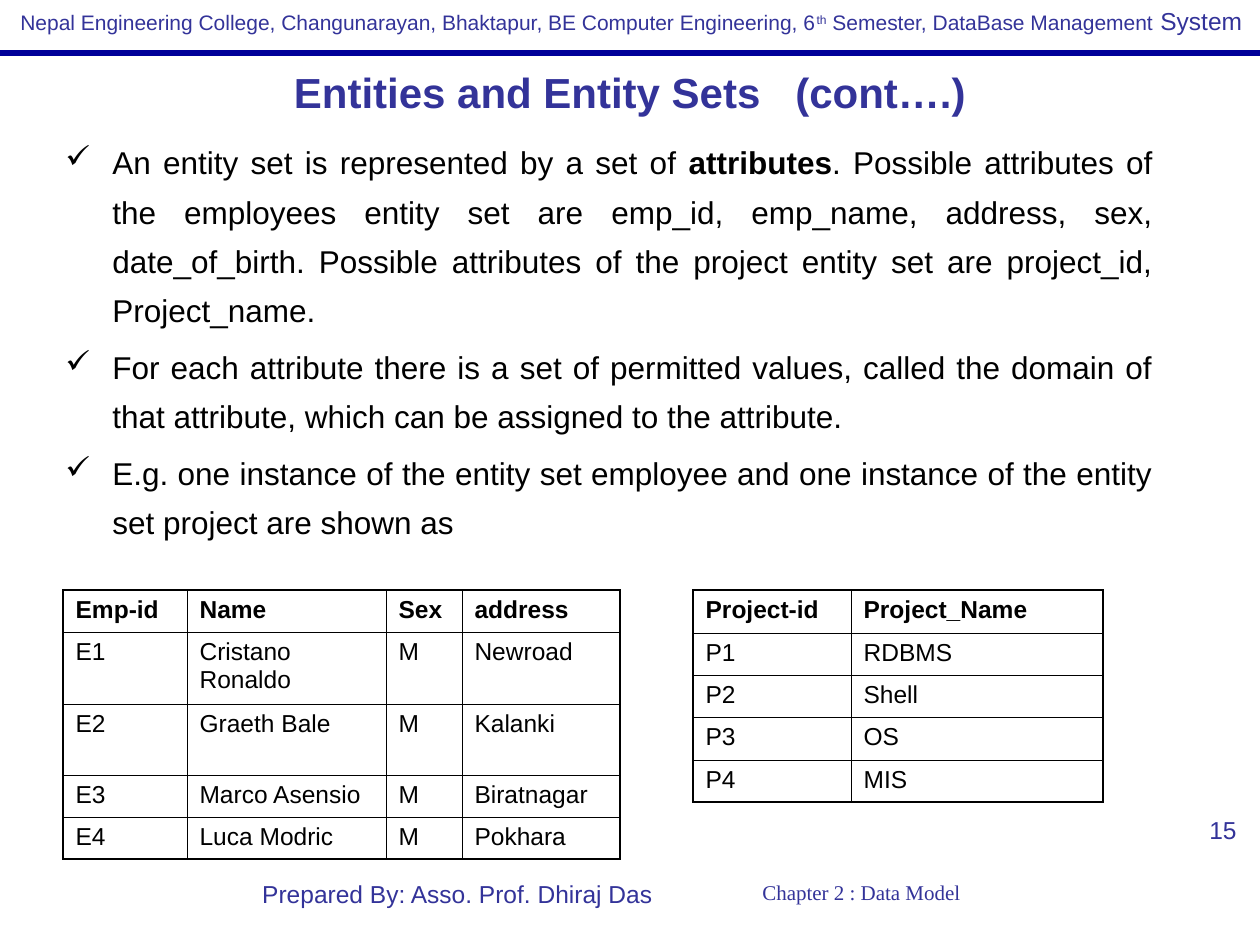
from pptx import Presentation
from pptx.dml.color import RGBColor
from pptx.enum.shapes import MSO_CONNECTOR
from pptx.enum.text import MSO_ANCHOR, PP_ALIGN
from pptx.oxml.ns import qn
from pptx.util import Pt
from lxml import etree

PX = 914400 / 126
LEFT, CENTER, RIGHT, JUSTIFY = PP_ALIGN.LEFT, PP_ALIGN.CENTER, PP_ALIGN.RIGHT, PP_ALIGN.JUSTIFY
TOP, MIDDLE = MSO_ANCHOR.TOP, MSO_ANCHOR.MIDDLE
THEME = {
    "accent": RGBColor(0x33, 0x33, 0x99), "rule": RGBColor(0, 0, 0x99),
    "ink": RGBColor(0, 0, 0), "sans": "Arial", "serif": "Times New Roman",
    "title": Pt(24), "body": Pt(18), "label": Pt(14), "small": Pt(12),
}


def px(n):
    return round(n * PX)


def add_text(box, paragraphs, size, color="accent", font="sans", align=LEFT,
             anchor=TOP, wrap=True):
    """Add a text box; each paragraph is a list of run texts."""
    tf = slide.shapes.add_textbox(*map(px, box)).text_frame
    tf.word_wrap = wrap
    tf.vertical_anchor = anchor
    for i, runs in enumerate(paragraphs):
        p = tf.paragraphs[0] if i == 0 else tf.add_paragraph()
        p.alignment = align
        p.font.size, p.font.name = THEME[size], THEME[font]
        p.font.color.rgb = THEME[color]
        for text in runs:
            p.add_run().text = text
    return tf


prs = Presentation()
prs.slide_width, prs.slide_height = px(1260), px(945)
slide = prs.slides.add_slide(prs.slide_layouts[6])

# Header with rule
rule = slide.shapes.add_connector(MSO_CONNECTOR.STRAIGHT, 0, px(53), px(1260), px(53))
rule.line.color.rgb = THEME["rule"]
rule.line.width = Pt(3)
etree.SubElement(rule._element.spPr, qn("a:effectLst"))

header = add_text((8, 0, 1248, 43), [[
    "Nepal Engineering College, Changunarayan, Bhaktapur, BE Computer Engineering, 6",
    "th", " Semester, DataBase Management", " System"]], "small", wrap=False)
runs = header.paragraphs[0].runs
runs[1].font._element.set("baseline", "30000")
runs[3].font.size = THEME["label"]

# Footer and page number
add_text((662, 873, 399, 63), [["Chapter 2 : Data Model"]], "small",
         font="serif", align=CENTER, wrap=False)
add_text((244, 873, 427, 66), [["Prepared By: Asso. Prof. Dhiraj Das"]], "label", align=CENTER)
add_text((955, 809, 294, 66), [["15"]], "label", align=RIGHT)

# Title
title = add_text((63, 63, 1134, 58), [["Entities and Entity Sets   (cont….)"]],
                 "title", align=CENTER, anchor=MIDDLE)
title.paragraphs[0].font.bold = True

# Checked points
points = add_text((53, 126, 1112, 415), [
    ["An entity set is represented by a set of ", "attributes",
     ". Possible attributes of the employees entity set are emp_id, emp_name, address, sex, "
     "date_of_birth. Possible attributes of the project entity set are project_id, Project_name."],
    ["For each attribute there is a set of permitted values, called the domain of that "
     "attribute, which can be assigned to the attribute."],
    ["E.g. one instance of the entity set employee and one instance of the entity set "
     "project are shown as"],
], "body", color="ink", align=JUSTIFY)
points.paragraphs[0].runs[1].font.bold = True
for i, p in enumerate(points.paragraphs):
    p.line_spacing = 1.3
    if i:
        p.space_before = Pt(4.5)
    pPr = p._p.get_or_add_pPr()
    pPr.set("marL", str(px(47)))
    pPr.set("indent", str(-px(47)))
    bullet = etree.Element(qn("a:buChar"), char="✓")
    pPr.find(qn("a:defRPr")).addprevious(bullet)

# Tables: left, top, column widths, row heights, rows
tables = [
    (63, 590, (124, 199, 76, 158), (42, 72, 71, 42, 42), [
        ("Emp-id", "Name", "Sex", "address"),
        ("E1", "Cristano Ronaldo", "M", "Newroad"),
        ("E2", "Graeth Bale", "M", "Kalanki"),
        ("E3", "Marco Asensio", "M", "Biratnagar"),
        ("E4", "Luca Modric", "M", "Pokhara")]),
    (693, 590, (158, 252), (43, 42, 42, 43, 42), [
        ("Project-id", "Project_Name"),
        ("P1", "RDBMS"), ("P2", "Shell"), ("P3", "OS"), ("P4", "MIS")]),
]
OUTER, INNER = Pt(1.08), Pt(0.45)
for left, top, widths, heights, rows in tables:
    table = slide.shapes.add_table(len(rows), len(widths), px(left), px(top),
                                   px(sum(widths)), px(sum(heights))).table
    for column, width in zip(table.columns, widths):
        column.width = px(width)
    for row, height in zip(table.rows, heights):
        row.height = px(height)
    for i, row in enumerate(rows):
        for j, text in enumerate(row):
            cell = table.cell(i, j)
            cell.text = text
            cell.margin_left = cell.margin_right = Pt(7.2)
            cell.margin_top = cell.margin_bottom = Pt(3.6)
            font = cell.text_frame.paragraphs[0].font
            font.size, font.name, font.bold = THEME["label"], THEME["sans"], i == 0
            font.color.rgb = THEME["ink"]
            # Heavier lines around the table than inside it
            tcPr = cell._tc.get_or_add_tcPr()
            edges = {"lnL": j == 0, "lnR": j == len(widths) - 1,
                     "lnT": i == 0, "lnB": i == len(rows) - 1}
            for tag, outer in edges.items():
                ln = etree.SubElement(tcPr, qn("a:" + tag), w=str(OUTER if outer else INNER))
                fill = etree.SubElement(ln, qn("a:solidFill"))
                etree.SubElement(fill, qn("a:srgbClr"), val=str(THEME["ink"]))
            cell.fill.background()

prs.save("out.pptx")
